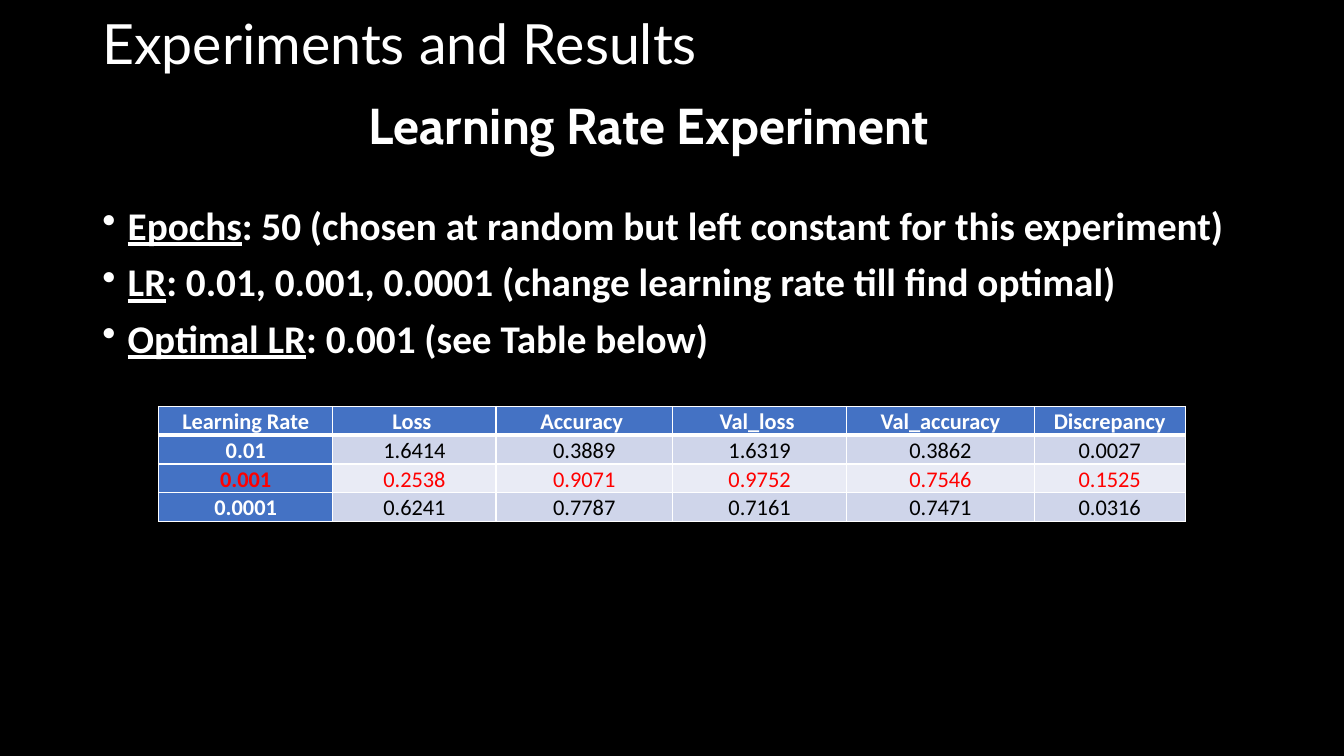
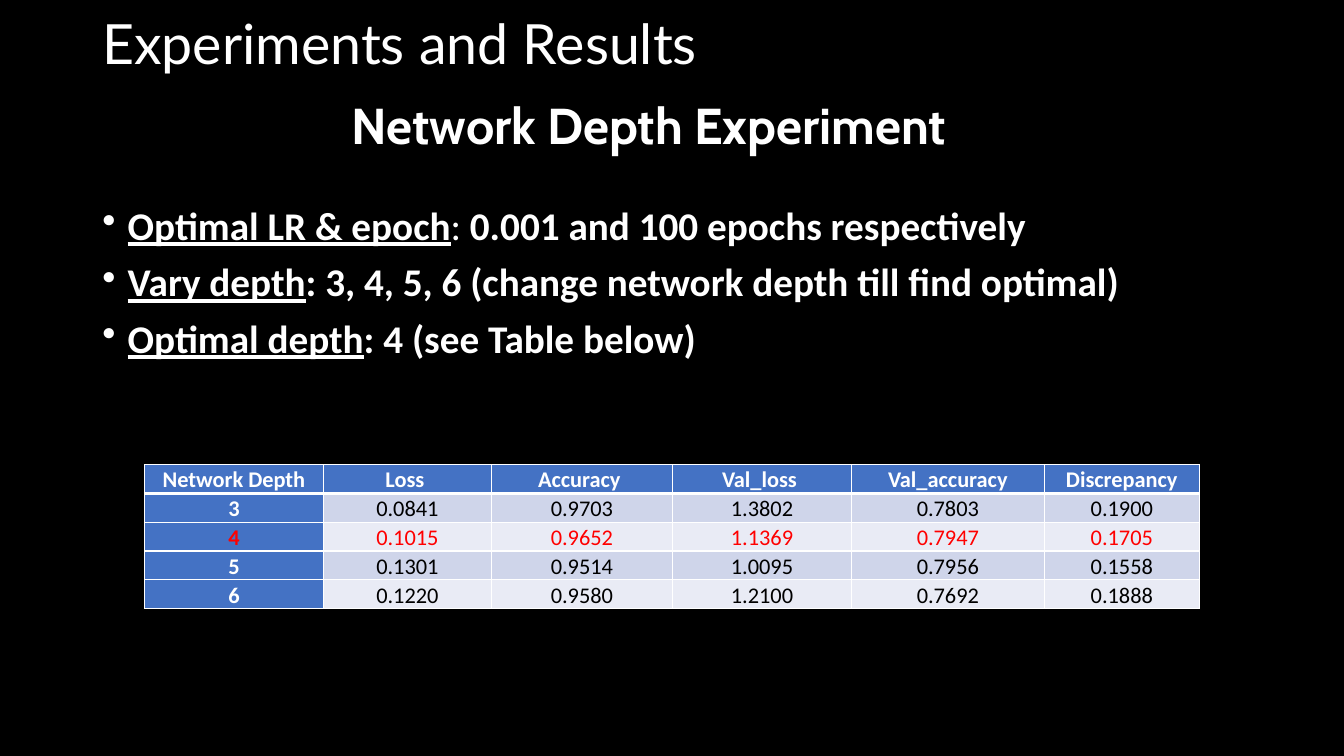
from lxml import etree
from pptx import Presentation
from pptx.dml.color import RGBColor
from pptx.enum.text import MSO_ANCHOR, PP_ALIGN
from pptx.oxml.ns import qn
from pptx.util import Cm, Pt

BLACK = RGBColor(0x00, 0x00, 0x00)
WHITE = RGBColor(0xFF, 0xFF, 0xFF)
RED = RGBColor(0xFF, 0x00, 0x00)
BLUE = RGBColor(0x44, 0x72, 0xC4)
BANDS = (RGBColor(0xCF, 0xD5, 0xEA), RGBColor(0xE9, 0xEB, 0xF5))

LEFT, CENTER = PP_ALIGN.LEFT, PP_ALIGN.CENTER
TOP, MIDDLE = MSO_ANCHOR.TOP, MSO_ANCHOR.MIDDLE

SLIDE_WIDTH, SLIDE_HEIGHT = Cm(33.87), Cm(19.05)
BLANK_LAYOUT = 6

# Regions shared by the slides: left, top, width, height
TITLE_BOX = (Cm(2.33), Cm(0.43), Cm(29.21), Cm(1.27))
SUBTITLE_BOX = (Cm(1.75), Cm(1.4), Cm(29.21), Cm(3.68))
BULLETS_BOX = (Cm(2.33), Cm(5.08), Cm(29.21), Cm(6.76))

TITLE = "Experiments and Results"
BULLET_INDENT = Cm(0.64)
ROW_HEIGHT = Cm(0.69)
COLUMN_SHARES = (1.73, 1.62, 1.75, 1.73, 1.86, 1.5)
MEASURES = ("Loss ", "Accuracy ", "Val_loss ", "Val_accuracy", "Discrepancy")

# Bullets hold an underlined label, a plain part and a bold part
EXPERIMENTS = (
    {
        "subtitle": "Learning Rate Experiment",
        "bullets": (
            ("Epochs", "", ": 50 (chosen at random but left constant for this experiment)"),
            ("LR", "", ": 0.01, 0.001, 0.0001 (change learning rate till find optimal)"),
            ("Optimal LR", "", ": 0.001 (see Table below)"),
        ),
        "table_top": Cm(10.24),
        "table_width": Cm(25.88),
        "best": "0.001",
        "rows": (
            ("Learning Rate", *MEASURES),
            ("0.01", "1.6414", "0.3889", "1.6319", "0.3862", "0.0027"),
            ("0.001", "0.2538", "0.9071", "0.9752", "0.7546", "0.1525"),
            ("0.0001", "0.6241", "0.7787", "0.7161", "0.7471", "0.0316"),
        ),
    },
    {
        "subtitle": "Network Depth Experiment",
        "bullets": (
            ("Optimal LR & epoch", ": ", "0.001 and 100 epochs respectively"),
            ("Vary depth", "", ": 3, 4, 5, 6 (change network depth till find optimal)"),
            ("Optimal depth", "", ": 4 (see Table below)"),
        ),
        "table_top": Cm(11.71),
        "table_width": Cm(26.59),
        "best": "4",
        "rows": (
            ("Network Depth", *MEASURES),
            ("3", "0.0841", "0.9703", "1.3802", "0.7803", "0.1900"),
            ("4", "0.1015", "0.9652", "1.1369", "0.7947", "0.1705"),
            ("5", "0.1301", "0.9514", "1.0095", "0.7956", "0.1558"),
            ("6", "0.1220", "0.9580", "1.2100", "0.7692", "0.1888"),
        ),
    },
)


def style_paragraph(para, font, size, color=WHITE, bold=None, align=LEFT, spacing=1.0):
    para.alignment = align
    para.line_spacing = spacing
    para.font.name = font
    para.font.size = Pt(size)
    para.font.color.rgb = color
    para.font.bold = bold


def add_frame(page, box, anchor):
    frame = page.shapes.add_textbox(*box).text_frame
    frame.word_wrap = True
    frame.vertical_anchor = anchor
    return frame


def add_heading(page, box, text, **style):
    para = add_frame(page, box, MIDDLE).paragraphs[0]
    para.text = text
    style_paragraph(para, **style)


def add_bullets(page, box, bullets):
    frame = add_frame(page, box, TOP)
    for index, (label, plain, strong) in enumerate(bullets):
        para = frame.add_paragraph() if index else frame.paragraphs[0]
        style_paragraph(para, "Calibri", 28, spacing=0.9)
        para.space_before = Pt(10)
        for text, bold, underline in ((label, True, True), (plain, False, False), (strong, True, False)):
            if text:
                span = para.add_run()
                span.text = text
                span.font.bold = bold
                span.font.underline = underline
        # Hanging bullet
        properties = para._p.get_or_add_pPr()
        properties.set("marL", str(BULLET_INDENT))
        properties.set("indent", str(-BULLET_INDENT))
        bullet = etree.Element(qn("a:buChar"), char="•")
        properties.find(qn("a:defRPr")).addprevious(bullet)


def set_borders(cell, **widths):
    properties = cell._tc.get_or_add_tcPr()
    for side in "LRTB":
        line = etree.SubElement(properties, qn(f"a:ln{side}"), w=str(Pt(widths.get(side, 1))))
        fill = etree.SubElement(line, qn("a:solidFill"))
        etree.SubElement(fill, qn("a:srgbClr"), val=str(WHITE))


def fill_cell(cell, text, fill, color, bold, borders):
    cell.margin_left = cell.margin_right = Cm(0.3)
    cell.margin_top = cell.margin_bottom = 0
    set_borders(cell, **borders)
    cell.fill.solid()
    cell.fill.fore_color.rgb = fill
    para = cell.text_frame.paragraphs[0]
    para.text = text
    para.space_after = Pt(8)
    style_paragraph(para, "Calibri", 16, color, bold, CENTER, 1.07)


def add_results(page, box, rows, best):
    left, top, width, height = box
    table = page.shapes.add_table(len(rows), len(COLUMN_SHARES), left, top, width, height).table
    for column, share in zip(table.columns, COLUMN_SHARES):
        column.width = int(width * share / sum(COLUMN_SHARES))
    for row_index, row in enumerate(rows):
        # A thick rule parts the header from the values
        borders = {0: {"B": 3}, 1: {"T": 3}}.get(row_index, {})
        for column_index, text in enumerate(row):
            is_header = row_index == 0 or column_index == 0
            fill = BLUE if is_header else BANDS[(row_index - 1) % 2]
            color = RED if row[0] == best else WHITE if is_header else BLACK
            fill_cell(table.cell(row_index, column_index), text, fill, color, is_header, borders)


def add_experiment(deck, experiment):
    page = deck.slides.add_slide(deck.slide_layouts[BLANK_LAYOUT])
    add_heading(page, TITLE_BOX, TITLE, font="Lato", size=39.6)
    add_bullets(page, BULLETS_BOX, experiment["bullets"])
    add_heading(page, SUBTITLE_BOX, experiment["subtitle"],
                font="Cabin", size=36, bold=True, align=CENTER, spacing=0.9)
    # Results table, centred on the slide
    rows, width = experiment["rows"], experiment["table_width"]
    box = ((SLIDE_WIDTH - width) // 2, experiment["table_top"], width, ROW_HEIGHT * len(rows))
    add_results(page, box, rows, experiment["best"])


def main():
    deck = Presentation()
    deck.slide_width, deck.slide_height = SLIDE_WIDTH, SLIDE_HEIGHT
    background = deck.slide_master.background.fill
    background.solid()
    background.fore_color.rgb = BLACK
    for experiment in EXPERIMENTS:
        add_experiment(deck, experiment)
    deck.save("out.pptx")


if __name__ == "__main__":
    main()
